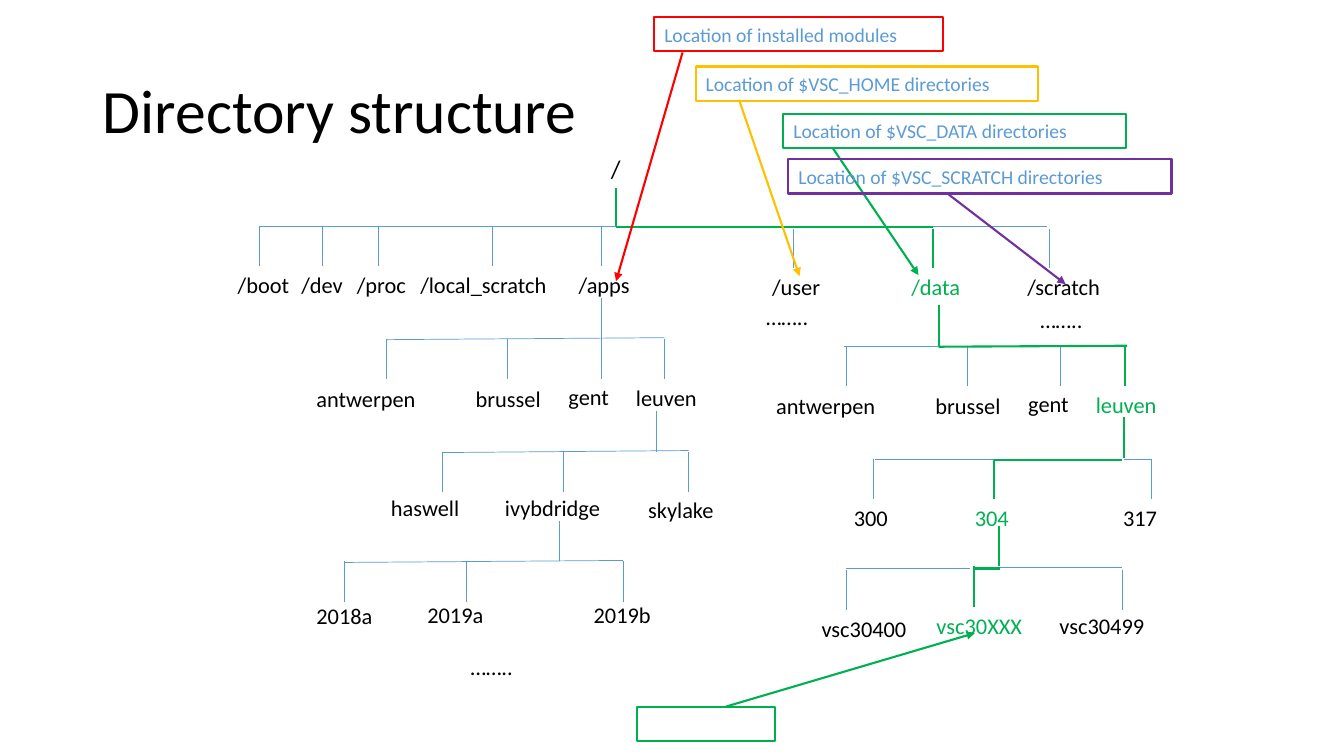
from pptx import Presentation
from pptx.dml.color import RGBColor
from pptx.enum.shapes import MSO_CONNECTOR, MSO_SHAPE
from pptx.enum.text import MSO_ANCHOR, PP_ALIGN
from pptx.oxml.ns import qn
from pptx.util import Inches, Pt
from lxml.etree import SubElement

BLACK = RGBColor(0x00, 0x00, 0x00)
BLUE = RGBColor(0x5B, 0x9B, 0xD5)
GREEN = RGBColor(0x00, 0xB0, 0x50)
RED = RGBColor(0xFF, 0x00, 0x00)
GOLD = RGBColor(0xFF, 0xC0, 0x00)
PURPLE = RGBColor(0x70, 0x30, 0xA0)

deck = Presentation()
deck.slide_width = Inches(13.33)
deck.slide_height = Inches(7.5)
slide = deck.slides.add_slide(deck.slide_layouts[5])
shapes = slide.shapes


def write(frame, text, size, color):
    frame.word_wrap = True
    para = frame.paragraphs[0]
    para.alignment = PP_ALIGN.LEFT
    run = para.add_run()
    run.text = text
    run.font.name = "Calibri"
    run.font.size = Pt(size)
    run.font.color.rgb = color
    return para


def draw(x1, y1, x2, y2, color, arrow=False):
    line = shapes.add_connector(
        MSO_CONNECTOR.STRAIGHT, Inches(x1), Inches(y1), Inches(x2), Inches(y2))
    line.line.color.rgb = color
    line.line.width = Pt(0.5 if color == BLUE else 1.5)
    if arrow:
        SubElement(line.line._get_or_add_ln(), qn("a:tailEnd"), type="triangle")
    SubElement(line._element.spPr, qn("a:effectLst"))


title = shapes.title
title.left, title.top = Inches(0.92), Inches(0.4)
title.width, title.height = Inches(11.5), Inches(1.45)
title.text_frame.vertical_anchor = MSO_ANCHOR.MIDDLE
write(title.text_frame, "Directory structure", 44, BLACK).line_spacing = 0.9

# top, length, colour, x of each upright
drops = [
    (2.25, 0.39, BLUE, [2.57, 3.2, 3.75, 4.88, 5.96]),
    (2.27, 0.39, BLUE, [7.87, 10.41]),
    (2.96, 0.4, BLUE, [5.96]),
    (3.36, 0.4, BLUE, [3.83, 5.03, 5.96, 6.59]),
    (3.43, 0.4, BLUE, [8.39, 9.59, 10.52]),
    (4.08, 0.4, BLUE, [6.51]),
    (4.48, 0.4, BLUE, [4.39, 5.59, 6.83]),
    (4.55, 0.4, BLUE, [8.66, 11.42]),
    (5.17, 0.4, BLUE, [5.55]),
    (5.57, 0.4, BLUE, [3.42, 4.63, 6.18]),
    (5.65, 0.4, BLUE, [8.39, 11.13]),
    (1.87, 0.38, GREEN, [6.11]),
    (2.27, 0.39, GREEN, [9.25]),
    (3.03, 0.4, GREEN, [9.31]),
    (3.43, 0.4, GREEN, [11.16]),
    (4.14, 0.4, GREEN, [11.15]),
    (4.55, 0.4, GREEN, [9.86]),
    (5.22, 0.4, GREEN, [9.91]),
    (5.62, 0.4, GREEN, [9.66]),
]
for top, size, color, places in drops:
    for x in places:
        draw(x, top, x, top + size, color)

bars = [
    (2.57, 2.25, 6.11, 2.25, BLUE),
    (9.22, 2.25, 10.38, 2.25, BLUE),
    (3.83, 3.37, 6.59, 3.35, BLUE),
    (8.37, 3.44, 9.32, 3.44, BLUE),
    (4.39, 4.49, 6.83, 4.47, BLUE),
    (8.68, 4.56, 9.86, 4.56, BLUE),
    (11.15, 4.56, 11.42, 4.56, BLUE),
    (3.42, 5.58, 6.18, 5.56, BLUE),
    (8.39, 5.64, 9.62, 5.64, BLUE),
    (9.9, 5.63, 11.13, 5.63, BLUE),
    (6.11, 2.25, 9.25, 2.25, GREEN),
    (9.31, 3.44, 11.18, 3.43, GREEN),
    (9.86, 4.56, 11.13, 4.56, GREEN),
    (9.66, 5.64, 9.92, 5.64, GREEN),
]
for bar in bars:
    draw(*bar)

names = [
    ("/", 5.96, 1.47, 0.94),
    ("/boot", 2.26, 2.64, 0.8),
    ("/dev", 2.89, 2.64, 0.71),
    ("/proc", 3.44, 2.64, 0.82),
    ("/local_scratch", 4.07, 2.64, 1.84),
    ("/apps", 5.64, 2.64, 0.91),
    ("/user", 7.56, 2.66, 0.97),
    ("/data", 8.94, 2.66, 0.97),
    ("/scratch", 10.09, 2.66, 1.09),
    ("……..", 7.5, 2.96, 0.97),
    ("……..", 10.22, 2.99, 0.97),
    ("haswell", 3.78, 4.85, 1.26),
    ("ivybdridge", 4.91, 4.85, 1.35),
    ("skylake", 6.33, 4.87, 1.15),
    ("300", 8.37, 4.95, 0.86),
    ("304", 9.57, 4.95, 0.7),
    ("317", 11.04, 4.95, 0.97),
    ("2018a", 3.04, 5.92, 0.97),
    ("2019a", 4.14, 5.91, 0.97),
    ("2019b", 5.79, 5.91, 0.97),
    ("……..", 4.57, 6.43, 0.97),
    ("vsc30400", 8.05, 6.05, 1.33),
    ("vsc30XXX", 9.19, 6.02, 1.33),
    ("vsc30499", 10.41, 6.02, 1.33),
]
for left, top in [(3.04, 3.77), (7.6, 3.84)]:
    names += [
        ("antwerpen", left, top, 1.35),
        ("brussel", left + 1.58, top, 0.97),
        ("gent", left + 2.5, top - 0.02, 0.97),
        ("leuven", left + 3.17, top - 0.01, 0.97),
    ]
chosen = ["/data", "304", "vsc30XXX"]
for text, left, top, width in names:
    root = text == "/"
    box = shapes.add_textbox(
        Inches(left), Inches(top), Inches(width), Inches(0.4 if root else 0.37))
    green = text in chosen or (text == "leuven" and left > 7)
    write(box.text_frame, text, 18 if root else 16, GREEN if green else BLACK)

# text, left, top, width, colour, arrow ends
notes = [
    ("Location of installed modules", 6.49, 0.17, 2.86, RED, (6.77, 0.52, 6.11, 2.79)),
    ("Location of $VSC_HOME directories", 6.9, 0.66, 3.4, GOLD, (7.33, 0.99, 7.93, 2.74)),
    ("Location of $VSC_DATA directories", 7.77, 1.13, 3.4, GREEN, (8.26, 1.47, 9.11, 2.73)),
    ("Location of $VSC_SCRATCH directories", 7.82, 1.58, 3.8, PURPLE, (9.41, 1.93, 10.57, 2.82)),
    ("", 6.32, 7.01, 1.37, GREEN, (7.2, 7.01, 9.67, 6.28)),
]
for text, left, top, width, color, ends in notes:
    box = shapes.add_shape(
        MSO_SHAPE.RECTANGLE, Inches(left), Inches(top), Inches(width), Inches(0.34))
    box.shadow.inherit = False
    box.fill.background()
    box.line.color.rgb = color
    box.line.width = Pt(1.5)
    if text:
        write(box.text_frame, text, 14, BLUE)
    draw(*ends, color, arrow=True)

deck.save("out.pptx")
